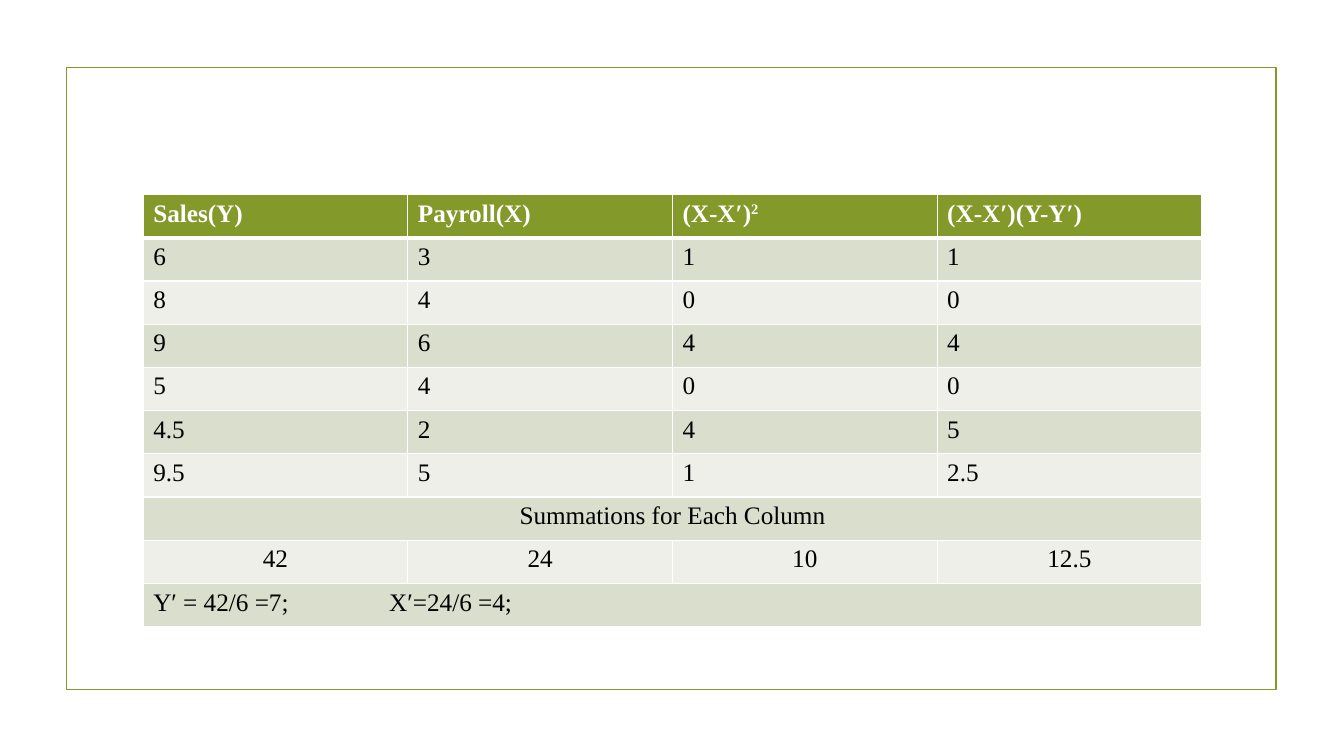
from lxml import etree
from pptx import Presentation
from pptx.dml.color import RGBColor
from pptx.enum.shapes import MSO_SHAPE
from pptx.enum.text import PP_ALIGN
from pptx.oxml.ns import qn
from pptx.util import Inches, Pt

RECTANGLE = MSO_SHAPE.RECTANGLE
LEFT, CENTER = PP_ALIGN.LEFT, PP_ALIGN.CENTER
GREEN = RGBColor(0x83, 0x99, 0x2A)
DARK_BAND = RGBColor(0xD9, 0xDE, 0xCD)
LIGHT_BAND = RGBColor(0xED, 0xEF, 0xE8)
WHITE = RGBColor(0xFF, 0xFF, 0xFF)
BLACK = RGBColor(0, 0, 0)

HEADINGS = ["Sales(Y)", "Payroll(X)", "(X-X′)2", "(X-X′)(Y-Y′)"]
OBSERVATIONS = [
    ["6", "3", "1", "1"],
    ["8", "4", "0", "0"],
    ["9", "6", "4", "4"],
    ["5", "4", "0", "0"],
    ["4.5", "2", "4", "5"],
    ["9.5", "5", "1", "2.5"],
]
SUMMATION_TITLE = ["Summations for Each Column"]
SUMMATIONS = ["42", "24", "10", "12.5"]
MEANS = ["Y′ = 42/6 =7;\tX′=24/6 =4;"]


class RegressionSlide:
    """Draws the regression worksheet on one slide in a shared style."""

    font_name = "Times New Roman"
    font_size = Pt(18)

    def __init__(self, deck):
        self.page = deck.slides.add_slide(deck.slide_layouts[6])

    def frame(self, left, top, width, height):
        box = self.page.shapes.add_shape(
            RECTANGLE, Inches(left), Inches(top), Inches(width), Inches(height))
        box.shadow.inherit = False
        box.fill.background()
        box.line.color.rgb = GREEN
        box.line.width = Pt(1.25)

    def borders(self, cell, bottom_width):
        properties = cell._tc.get_or_add_tcPr()
        widths = {"a:lnL": 1, "a:lnR": 1, "a:lnT": 1, "a:lnB": bottom_width}
        for side, width in widths.items():
            line = etree.SubElement(properties, qn(side), w=str(Pt(width)))
            fill = etree.SubElement(line, qn("a:solidFill"))
            etree.SubElement(fill, qn("a:srgbClr"), val=str(WHITE))

    def cell(self, cell, text, fill, color=BLACK, bold=False, align=LEFT, bottom_width=1):
        self.borders(cell, bottom_width)
        cell.fill.solid()
        cell.fill.fore_color.rgb = fill
        para = cell.text_frame.paragraphs[0]
        para.text = text
        para.alignment = align
        for span in para.runs:
            self.font(span, color, bold)

    def font(self, span, color, bold):
        span.font.name = self.font_name
        span.font.size = self.font_size
        span.font.color.rgb = color
        span.font.bold = bold

    def superscript(self, cell):
        para = cell.text_frame.paragraphs[0]
        base = para.runs[0]
        exponent = para.add_run()
        base.text, exponent.text = base.text[:-1], base.text[-1]
        self.font(exponent, WHITE, True)
        exponent.font._element.set("baseline", "30000")

    def tab_stop(self, cell, position):
        properties = cell.text_frame.paragraphs[0]._p.get_or_add_pPr()
        stops = etree.SubElement(properties, qn("a:tabLst"))
        etree.SubElement(stops, qn("a:tab"), pos=str(Inches(position)), algn="l")

    def table(self, left, top, width, height):
        rows = [HEADINGS, *OBSERVATIONS, SUMMATION_TITLE, SUMMATIONS, MEANS]
        columns = len(HEADINGS)
        grid = self.page.shapes.add_table(
            len(rows), columns, Inches(left), Inches(top), Inches(width), Inches(height)).table
        for number, texts in enumerate(rows):
            if len(texts) == 1:
                grid.cell(number, 0).merge(grid.cell(number, columns - 1))
            band = DARK_BAND if number % 2 else LIGHT_BAND
            align = CENTER if texts in (SUMMATION_TITLE, SUMMATIONS) else LEFT
            for column, text in enumerate(texts):
                cell = grid.cell(number, column)
                if number == 0:
                    self.cell(cell, text, GREEN, WHITE, bold=True, bottom_width=3)
                else:
                    self.cell(cell, text, band, align=align)
        self.superscript(grid.cell(0, 2))
        self.tab_stop(grid.cell(len(rows) - 1, 0), 2.34)


def main():
    deck = Presentation()
    deck.slide_width, deck.slide_height = Inches(13.33), Inches(7.5)
    slide = RegressionSlide(deck)
    slide.frame(0.66, 0.67, 12, 6.17)
    slide.table(1.42, 1.93, 10.5, 4.29)
    deck.save("out.pptx")


if __name__ == "__main__":
    main()
